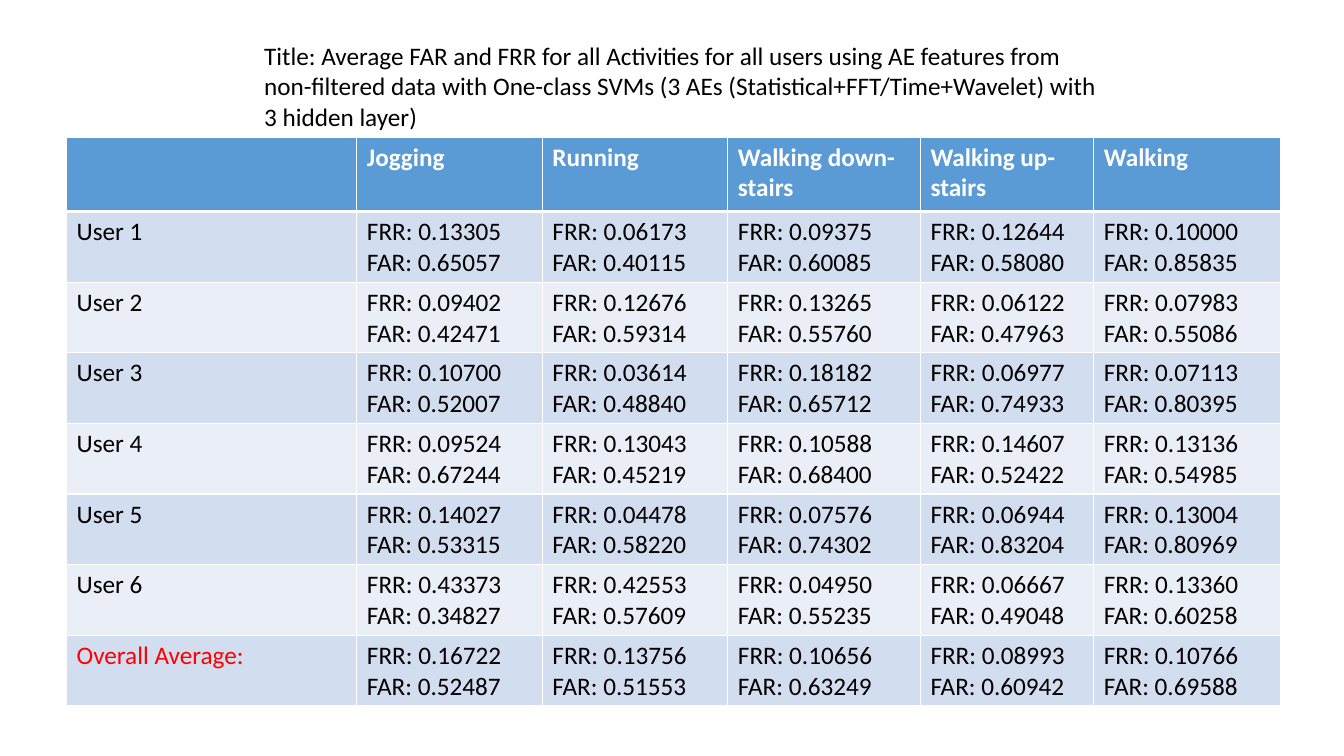
"""Build a slide with a table of FRR and FAR per user and activity."""
from dataclasses import dataclass
from typing import Any

from lxml.etree import SubElement
from pptx import Presentation
from pptx.dml.color import RGBColor
from pptx.enum.text import MSO_ANCHOR, MSO_AUTO_SIZE, PP_ALIGN
from pptx.oxml.ns import qn
from pptx.util import Inches, Pt

BLACK = RGBColor(0x00, 0x00, 0x00)
WHITE = RGBColor(0xFF, 0xFF, 0xFF)
RED = RGBColor(0xFF, 0x00, 0x00)
HEADER_BLUE = RGBColor(0x5B, 0x9B, 0xD5)
BANDS = (RGBColor(0xD2, 0xDE, 0xEF), RGBColor(0xEA, 0xEF, 0xF7))

TITLE = (
    "Title: Average FAR and FRR for all Activities for all users using AE features from "
    "non-filtered data with One-class SVMs (3 AEs (Statistical+FFT/Time+Wavelet) with "
    "3 hidden layer)"
)
ACTIVITIES = ("", "Jogging", "Running", "Walking down-stairs", "Walking up-stairs", "Walking")
COLUMN_WIDTHS = (2.88, 1.84, 1.84, 1.91, 1.72, 1.85)
HEADER_HEIGHT = 0.74
ROW_HEIGHT = 0.7


@dataclass(frozen=True)
class UserRates:
    """Rejection and acceptance rates of one row, in activity order."""

    label: str
    frr: tuple[float, ...]
    far: tuple[float, ...]
    label_color: RGBColor = BLACK


RATES = (
    UserRates("User 1", (0.13305, 0.06173, 0.09375, 0.12644, 0.10000),
              (0.65057, 0.40115, 0.60085, 0.58080, 0.85835)),
    UserRates("User 2", (0.09402, 0.12676, 0.13265, 0.06122, 0.07983),
              (0.42471, 0.59314, 0.55760, 0.47963, 0.55086)),
    UserRates("User 3", (0.10700, 0.03614, 0.18182, 0.06977, 0.07113),
              (0.52007, 0.48840, 0.65712, 0.74933, 0.80395)),
    UserRates("User 4", (0.09524, 0.13043, 0.10588, 0.14607, 0.13136),
              (0.67244, 0.45219, 0.68400, 0.52422, 0.54985)),
    UserRates("User 5", (0.14027, 0.04478, 0.07576, 0.06944, 0.13004),
              (0.53315, 0.58220, 0.74302, 0.83204, 0.80969)),
    UserRates("User 6", (0.43373, 0.42553, 0.04950, 0.06667, 0.13360),
              (0.34827, 0.57609, 0.55235, 0.49048, 0.60258)),
    UserRates("Overall Average:", (0.16722, 0.13756, 0.10656, 0.08993, 0.10766),
              (0.52487, 0.51553, 0.63249, 0.60942, 0.69588), RED),
)


def set_attributes(target: Any, values: dict[str, Any]) -> None:
    """Set every named value on the target."""
    for name, value in values.items():
        setattr(target, name, value)


def add_span(para: Any, text: str, color: RGBColor, bold: bool = False) -> None:
    """Append formatted text to a paragraph."""
    span = para.add_run()
    span.text = text
    set_attributes(span.font, {"name": "Calibri", "size": Pt(18), "bold": bold})
    span.font.color.rgb = color


def add_borders(cell: Any, top: float, bottom: float) -> None:
    """Draw white borders around a cell, with widths in points."""
    properties = cell._tc.get_or_add_tcPr()
    for side, width in {"L": 1, "R": 1, "T": top, "B": bottom}.items():
        line = SubElement(properties, qn(f"a:ln{side}"), w=str(Pt(width)))
        fill = SubElement(line, qn("a:solidFill"))
        SubElement(fill, qn("a:srgbClr"), val=str(WHITE))


def fill_cell(cell: Any, lines: tuple[str, ...], fill: RGBColor, color: RGBColor = BLACK,
              bold: bool = False, top: float = 1, bottom: float = 1) -> None:
    """Write one paragraph per line and format the cell."""
    add_borders(cell, top, bottom)
    cell.fill.solid()
    cell.fill.fore_color.rgb = fill
    for index, text in enumerate(lines):
        para = cell.text_frame.add_paragraph() if index else cell.text_frame.paragraphs[0]
        if text:
            add_span(para, text, color, bold)


def add_title(page: Any) -> None:
    """Place and format the title placeholder."""
    box = page.shapes.title
    set_attributes(box, {"left": Inches(2.52), "top": Inches(0.35),
                         "width": Inches(8.53), "height": Inches(1.01)})
    set_attributes(box.text_frame, {"word_wrap": True, "vertical_anchor": MSO_ANCHOR.TOP,
                                    "auto_size": MSO_AUTO_SIZE.SHAPE_TO_FIT_TEXT})
    para = box.text_frame.paragraphs[0]
    set_attributes(para, {"alignment": PP_ALIGN.LEFT, "line_spacing": 1.0})
    add_span(para, TITLE, BLACK)


def add_rates_table(page: Any) -> None:
    """Add the table with a header row and banded rate rows."""
    height = HEADER_HEIGHT + ROW_HEIGHT * len(RATES)
    table = page.shapes.add_table(
        len(RATES) + 1, len(ACTIVITIES), Inches(0.66), Inches(1.36),
        Inches(sum(COLUMN_WIDTHS)), Inches(height)).table
    for column, width in zip(table.columns, COLUMN_WIDTHS):
        column.width = Inches(width)
    for index, row in enumerate(table.rows):
        row.height = Inches(ROW_HEIGHT if index else HEADER_HEIGHT)
    for column, activity in enumerate(ACTIVITIES):
        fill_cell(table.cell(0, column), (activity,), HEADER_BLUE, WHITE, bold=True, bottom=3)
    for row, user in enumerate(RATES, start=1):
        band = BANDS[(row - 1) % 2]
        top = 3 if row == 1 else 1
        fill_cell(table.cell(row, 0), (user.label,), band, user.label_color, top=top)
        for column, (frr, far) in enumerate(zip(user.frr, user.far), start=1):
            lines = (f"FRR: {frr:.5f}", f"FAR: {far:.5f}")
            fill_cell(table.cell(row, column), lines, band, top=top)


def main() -> None:
    """Build and save the deck."""
    deck = Presentation()
    set_attributes(deck, {"slide_width": Inches(13.33), "slide_height": Inches(7.5)})
    page = deck.slides.add_slide(deck.slide_layouts[5])
    add_title(page)
    add_rates_table(page)
    deck.save("out.pptx")


if __name__ == "__main__":
    main()
